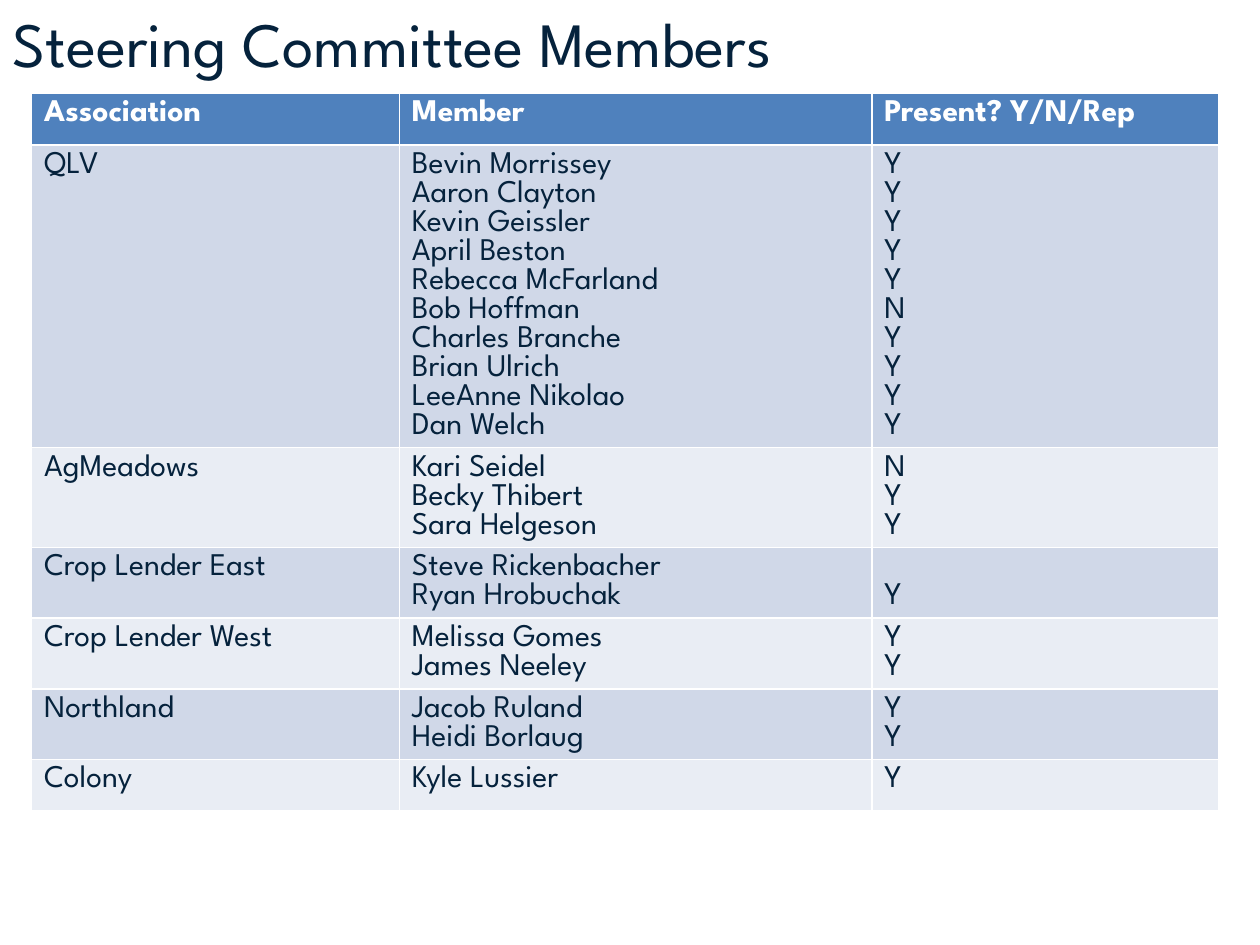
import dataclasses

import pptx
import pptx.dml.color
import pptx.enum.text
import pptx.util

Inches = pptx.util.Inches


@dataclasses.dataclass(frozen=True)
class Theme:
    font: str = "League Spartan"
    title_size: int = 36
    table_size: int = 18
    ink: str = "05223C"
    header_ink: str = "FFFFFF"
    header_fill: str = "4F81BD"
    bands: tuple = ("D0D8E8", "E9EDF4")


THEME = Theme()
LINE_HEIGHT = 0.23
CELL_MARGIN = 0.05
MINIMUM_ROW_HEIGHT = 0.41
COLUMN_WIDTHS = (2.92, 3.75, 2.75)
HEADERS = ("Association", "Member", "Present? Y/N/Rep")
ASSOCIATIONS = (
    ("QLV", (
        ("Bevin Morrissey", "Y"),
        ("Aaron Clayton", "Y"),
        ("Kevin Geissler", "Y"),
        ("April Beston", "Y"),
        ("Rebecca McFarland", "Y"),
        ("Bob Hoffman", "N"),
        ("Charles Branche", "Y"),
        ("Brian Ulrich", "Y"),
        ("LeeAnne Nikolao", "Y"),
        ("Dan Welch", "Y"),
    )),
    ("AgMeadows", (
        ("Kari Seidel", "N"),
        ("Becky Thibert", "Y"),
        ("Sara Helgeson", "Y"),
    )),
    ("Crop Lender East", (("Steve Rickenbacher", ""), ("Ryan Hrobuchak", "Y"))),
    ("Crop Lender West", (("Melissa Gomes", "Y"), ("James Neeley", "Y"))),
    ("Northland", (("Jacob Ruland", "Y"), ("Heidi Borlaug", "Y"))),
    ("Colony", (("Kyle Lussier", "Y"),)),
)


def color(value):
    return pptx.dml.color.RGBColor.from_string(value)


def write_lines(text_frame, lines, size, ink, bold=False):
    for index, line in enumerate(lines):
        paragraph = text_frame.add_paragraph() if index else text_frame.paragraphs[0]
        paragraph.alignment = pptx.enum.text.PP_ALIGN.LEFT
        run = paragraph.add_run()
        run.text = line
        run.font.name = THEME.font
        run.font.size = pptx.util.Pt(size)
        run.font.bold = bold
        run.font.color.rgb = color(ink)


def add_title(slide, text):
    title = slide.shapes.title
    title.left, title.top = Inches(0), Inches(0)
    title.width, title.height = Inches(10), Inches(0.67)
    title.text_frame.auto_size = pptx.enum.text.MSO_AUTO_SIZE.NONE
    title.text_frame.vertical_anchor = pptx.enum.text.MSO_ANCHOR.MIDDLE
    write_lines(title.text_frame, [text], THEME.title_size, THEME.ink)


def fill_cell(cell, lines, fill, ink, bold=False):
    answered = [line for line in lines if line]
    leading_blanks = lines.index(answered[0])
    cell.margin_top = Inches(CELL_MARGIN + leading_blanks * LINE_HEIGHT)
    cell.fill.solid()
    cell.fill.fore_color.rgb = color(fill)
    write_lines(cell.text_frame, answered, THEME.table_size, ink, bold)


def row_height(line_count):
    return max(MINIMUM_ROW_HEIGHT, line_count * LINE_HEIGHT + 2 * CELL_MARGIN)


def add_member_table(slide):
    heights = [MINIMUM_ROW_HEIGHT]
    heights += [row_height(len(members)) for _, members in ASSOCIATIONS]
    table = slide.shapes.add_table(
        len(heights), len(HEADERS), Inches(0.25), Inches(0.74),
        Inches(sum(COLUMN_WIDTHS)), Inches(sum(heights)),
    ).table
    for column, width in zip(table.columns, COLUMN_WIDTHS):
        column.width = Inches(width)
    for row, height in zip(table.rows, heights):
        row.height = Inches(height)
    for cell, header in zip(table.rows[0].cells, HEADERS):
        fill_cell(cell, [header], THEME.header_fill, THEME.header_ink, bold=True)
    for index, (association, members) in enumerate(ASSOCIATIONS):
        names, answers = zip(*members)
        fill = THEME.bands[index % len(THEME.bands)]
        for cell, lines in zip(table.rows[index + 1].cells, ([association], names, answers)):
            fill_cell(cell, lines, fill, THEME.ink)


def main():
    presentation = pptx.Presentation()
    presentation.slide_width = Inches(10)
    presentation.slide_height = Inches(7.5)
    slide = presentation.slides.add_slide(presentation.slide_layouts.get_by_name("Title Only"))
    add_title(slide, "Steering Committee Members")
    add_member_table(slide)
    presentation.save("out.pptx")


if __name__ == "__main__":
    main()
